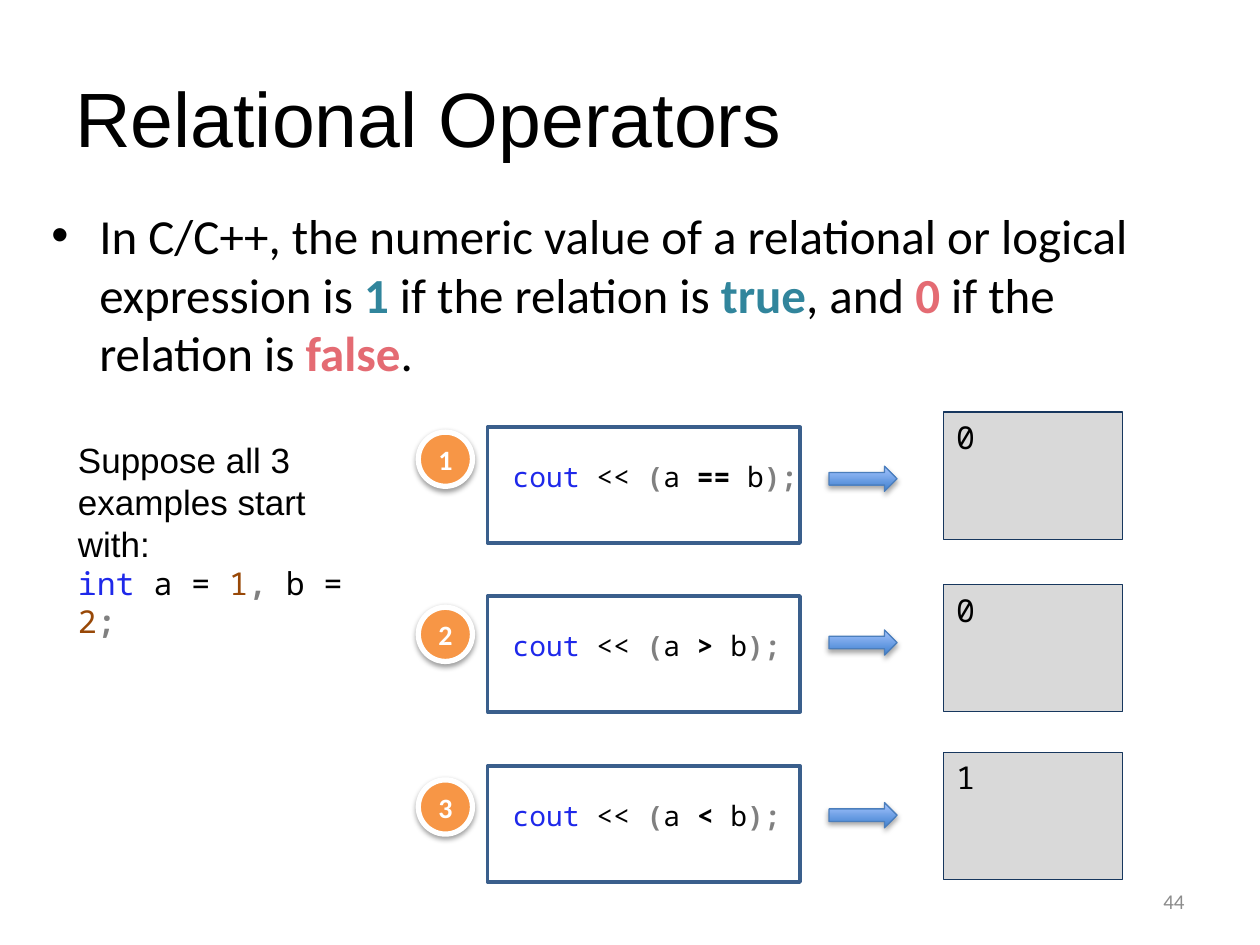
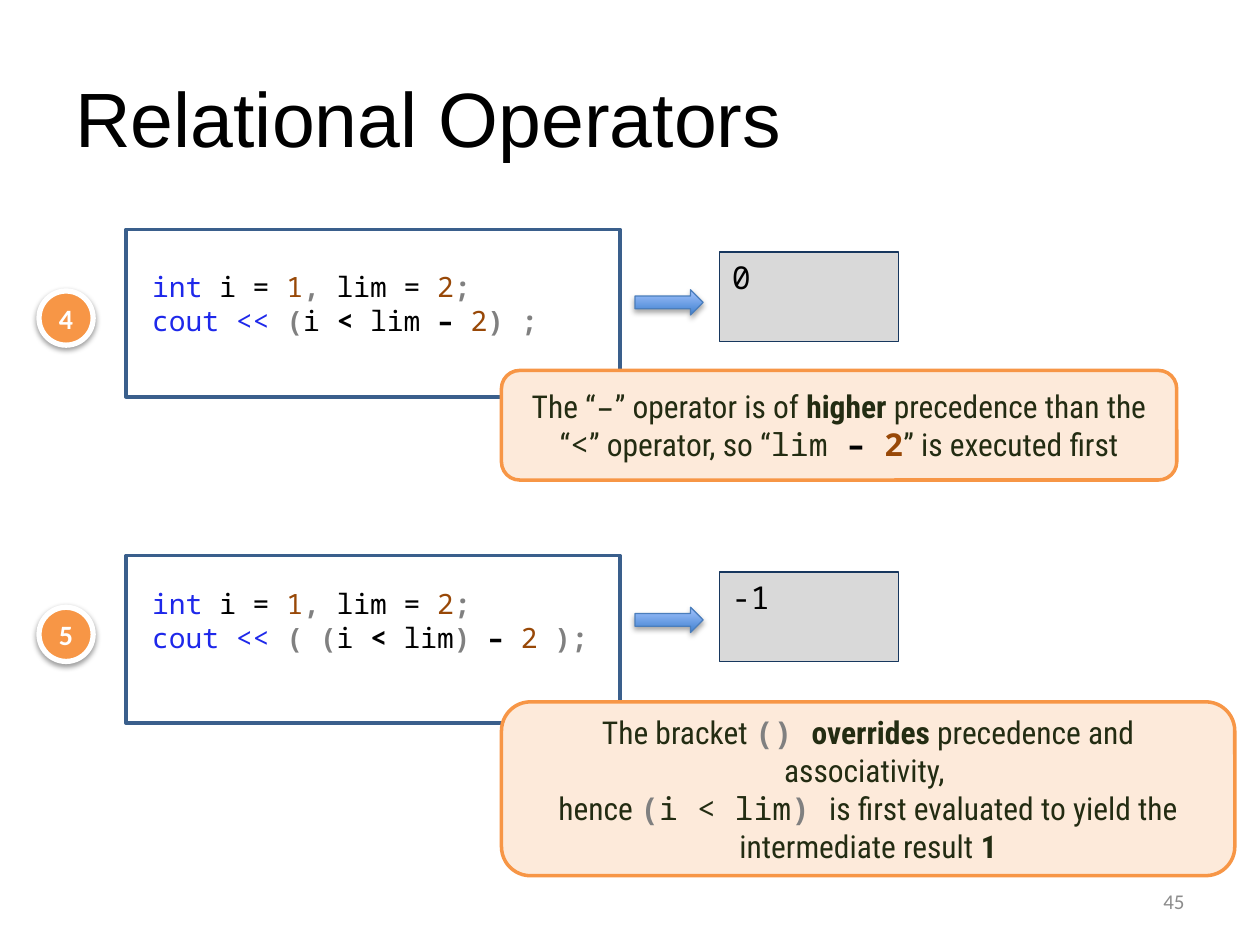
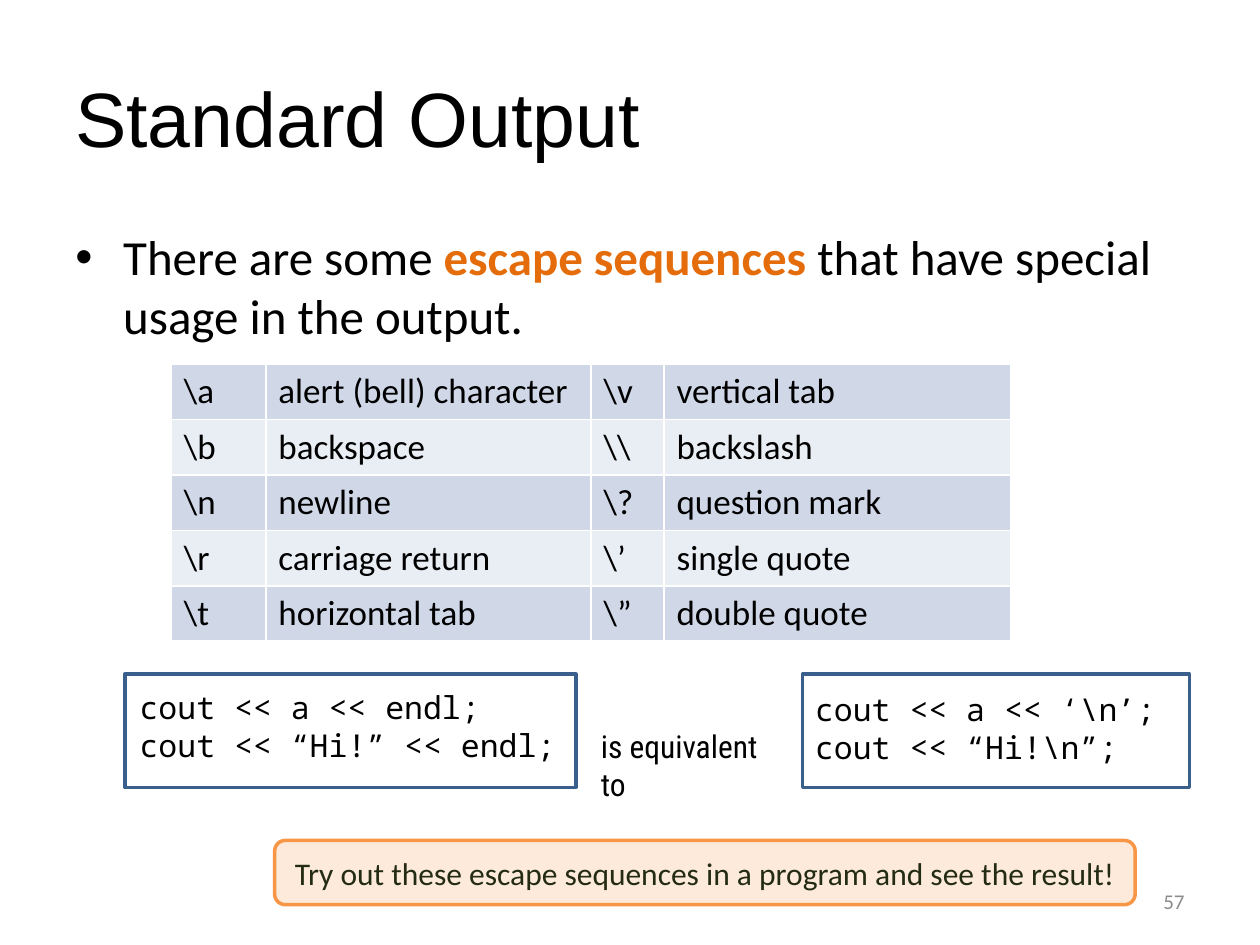
from lxml.etree import SubElement
from pptx import Presentation
from pptx.dml.color import RGBColor
from pptx.enum.shapes import MSO_SHAPE
from pptx.enum.text import MSO_ANCHOR, PP_ALIGN
from pptx.oxml.ns import qn
from pptx.util import Inches, Pt

COLORS = {
    "black": "000000", "white": "FFFFFF", "page number": "8C8C8C",
    "keyword": "1E28EA", "number": "984807", "bracket": "808080",
    "true": "31859C", "false": "E46B73", "highlight": "E46C0A",
    "frame": "3A5F8C", "output": "D9D9D9", "output line": "17375E",
    "badge": "F79646", "callout": "FDEADA", "callout text": "232C12",
    "arrow dark": "3F80CE", "arrow light": "A4C4FF", "arrow line": "4B7EBC",
    "odd row": "D0D8E8", "even row": "E9EDF4",
}
SANS, HEADING, MONO, NARROW = "Calibri", "Arial", "Noto Sans Mono", "Roboto Condensed"

# style name: font, colour, bold
STYLES = {
    "title": (HEADING, "black", False),
    "body": (SANS, "black", False),
    "true": (SANS, "true", True),
    "false": (SANS, "false", True),
    "highlight": (SANS, "highlight", True),
    "page number": (SANS, "page number", False),
    "badge": (SANS, "white", True),
    "code": (MONO, "black", False),
    "keyword": (MONO, "keyword", False),
    "number": (MONO, "number", False),
    "bold number": (MONO, "number", True),
    "bracket": (MONO, "bracket", True),
    "operator": (MONO, "black", True),
    "label": (NARROW, "black", False),
    "note": (NARROW, "callout text", False),
    "strong note": (NARROW, "callout text", True),
    "note code": (MONO, "callout text", False),
    "plain note": (SANS, "callout text", False),
}
CENTERED = {"anchor": MSO_ANCHOR.MIDDLE, "align": PP_ALIGN.CENTER}


def rgb(name):
    return RGBColor.from_string(COLORS[name])


class Deck:
    def __init__(self):
        self.presentation = Presentation()
        self.presentation.slide_width = Inches(10)
        self.presentation.slide_height = Inches(7.5)
        self.slide = None

    def new_slide(self, title, number):
        self.slide = self.presentation.slides.add_slide(self.presentation.slide_layouts[6])
        self.text((0.5, 0.3, 9, 1.25), [[(title, "title")]], 44, anchor=MSO_ANCHOR.MIDDLE)
        self.text((7.17, 6.95, 2.33, 0.4), [[(str(number), "page number")]], 12,
                  anchor=MSO_ANCHOR.MIDDLE, align=PP_ALIGN.RIGHT)

    def write_runs(self, paragraph, runs, size):
        """Add (text, style) runs; a newline in a text becomes a line break."""
        for text, style in runs:
            font_name, color, bold = STYLES[style]
            for index, part in enumerate(text.split("\n")):
                if index:
                    paragraph.add_line_break()
                run = paragraph.add_run()
                run.text = part
                for key, value in {"name": font_name, "size": Pt(size), "bold": bold}.items():
                    setattr(run.font, key, value)
                run.font.color.rgb = rgb(color)

    def fill_text(self, shape, lines, size, anchor=MSO_ANCHOR.TOP, align=PP_ALIGN.LEFT):
        frame = shape.text_frame
        frame.word_wrap = True
        frame.vertical_anchor = anchor
        for index, runs in enumerate(lines):
            paragraph = frame.add_paragraph() if index else frame.paragraphs[0]
            paragraph.alignment = align
            self.write_runs(paragraph, runs, size)

    def text(self, box, lines, size, **layout):
        shape = self.slide.shapes.add_textbox(*map(Inches, box))
        self.fill_text(shape, lines, size, **layout)
        return shape

    def bullet(self, box, runs):
        paragraph = self.text(box, [runs], 28).text_frame.paragraphs[0]
        paragraph.space_before = Pt(5.6)
        properties = paragraph._p.get_or_add_pPr()
        properties.set("marL", str(Inches(0.38)))
        properties.set("indent", str(-Inches(0.38)))
        SubElement(properties, qn("a:buFont"), typeface=HEADING)
        SubElement(properties, qn("a:buChar"), char="•")

    def shape(self, kind, box, line, width, fill=None):
        shape = self.slide.shapes.add_shape(kind, *map(Inches, box))
        shape.shadow.inherit = False
        shape.line.color.rgb = rgb(line)
        shape.line.width = Pt(width)
        if fill:
            shape.fill.solid()
            shape.fill.fore_color.rgb = rgb(fill)
        else:
            shape.fill.background()
        return shape

    def drop_shadow(self, shape, opacity, distance):
        effects = shape._element.spPr.find(qn("a:effectLst"))
        shadow = SubElement(effects, qn("a:outerShdw"), blurRad=str(Pt(3.1)),
                            dist=str(Pt(distance)), dir="5400000", rotWithShape="0")
        color = SubElement(shadow, qn("a:srgbClr"), val=COLORS["black"])
        SubElement(color, qn("a:alpha"), val=str(opacity * 1000))

    def frame(self, box):
        self.shape(MSO_SHAPE.RECTANGLE, box, "frame", 2)

    def output(self, box, value):
        shape = self.shape(MSO_SHAPE.RECTANGLE, box, "output line", 0.75, "output")
        self.fill_text(shape, [[(value, "code")]], 18)

    def badge(self, left, top, number):
        shape = self.shape(MSO_SHAPE.OVAL, (left, top, 0.43, 0.43), "white", 3, "badge")
        self.drop_shadow(shape, 38, 1.6)
        for side in ("left", "right", "top", "bottom"):
            setattr(shape.text_frame, f"margin_{side}", 0)
        self.fill_text(shape, [[(str(number), "badge")]], 16, **CENTERED)

    def arrow(self, left, top):
        shape = self.shape(MSO_SHAPE.RIGHT_ARROW, (left, top, 0.54, 0.2), "arrow line", 0.75)
        shape.fill.gradient()
        shape.fill.gradient_angle = 90
        for stop, color in zip(shape.fill.gradient_stops, ("arrow dark", "arrow light")):
            stop.color.rgb = rgb(color)
        self.drop_shadow(shape, 35, 1.8)

    def callout(self, box, runs):
        shape = self.shape(MSO_SHAPE.ROUNDED_RECTANGLE, box, "badge", 2, "callout")
        self.fill_text(shape, [runs], 18, **CENTERED)

    def table(self, left, top, widths, row_height, rows):
        table = self.slide.shapes.add_table(
            len(rows), len(widths), Inches(left), Inches(top),
            Inches(sum(widths)), Inches(row_height * len(rows))).table
        table.first_row = False
        table.horz_banding = False
        for column, width in zip(table.columns, widths):
            column.width = Inches(width)
        for row_index, row in enumerate(rows):
            for column_index, text in enumerate(row):
                cell = table.cell(row_index, column_index)
                cell.fill.solid()
                cell.fill.fore_color.rgb = rgb("even row" if row_index % 2 else "odd row")
                self.write_runs(cell.text_frame.paragraphs[0], [(text, "body")], 20)


def add_comparisons(deck):
    deck.new_slide("Relational Operators", 44)
    deck.bullet((0.31, 1.58, 9.39, 5.37), [
        ("In C/C++, the numeric value of a relational or logical expression is ", "body"),
        ("1", "true"), (" if the relation is ", "body"), ("true", "true"),
        (", and ", "body"), ("0", "false"), (" if the relation is ", "body"),
        ("false", "false"), (".", "body")])
    setup = deck.text((0.52, 3.43, 2.72, 1.75),
                      [[("Suppose all 3 examples start \nwith:", "title")]], 20)
    deck.write_runs(setup.text_frame.add_paragraph(), [
        ("int", "keyword"), (" a = ", "code"), ("1", "number"), (",", "bracket"),
        (" b = ", "code"), ("2", "number"), (";", "bracket")], 18)

    examples = [  # operator, result, tops of frame, output, arrow and badge
        ("==", "0", 3.39, 3.27, 3.7, 3.43),
        (">", "0", 4.73, 4.64, 5, 4.82),
        ("<", "1", 6.08, 5.97, 6.37, 6.19),
    ]
    for number, example in enumerate(examples, 1):
        operator, result, frame_top, output_top, arrow_top, badge_top = example
        deck.frame((3.87, frame_top, 2.48, 0.92))
        deck.text((3.97, frame_top + 0.21, 3.4, 0.64), [[
            ("cout ", "keyword"), ("<< ", "code"), ("(", "bracket"), ("a ", "code"),
            (operator, "operator"), (" b", "code"), (");", "bracket")]], 16)
        deck.output((7.49, output_top, 1.42, 1.01), result)
        deck.arrow(6.58, arrow_top)
        deck.badge(3.32, badge_top, number)


def add_precedence(deck):
    deck.new_slide("Relational Operators", 45)
    declaration = [("int ", "keyword"), ("i = ", "code"), ("1", "number"), (", ", "bracket"),
                   ("lim = ", "code"), ("2", "number"), (";", "bracket")]
    without_brackets = [
        ("cout << ", "keyword"), ("(", "bracket"), ("i ", "code"), ("< ", "operator"),
        ("lim ", "code"), ("– ", "operator"), ("2", "number"), (") ;", "bracket")]
    with_brackets = [
        ("cout << ", "keyword"), ("( (", "bracket"), ("i ", "code"), ("< ", "operator"),
        ("lim", "code"), (") ", "bracket"), ("– ", "operator"), ("2 ", "number"),
        (");", "bracket")]
    examples = [  # statement, result, tops of frame, code, output, arrow and badge
        (without_brackets, "0", 1.82, 2.09, 2, 2.3, 2.31),
        (with_brackets, "-1", 4.41, 4.61, 4.54, 4.82, 4.82),
    ]
    for number, example in enumerate(examples, 4):
        statement, result, frame_top, code_top, output_top, arrow_top, badge_top = example
        deck.frame((1, frame_top, 3.92, 1.33))
        deck.text((1.11, code_top, 3.81, 0.64), [declaration, statement], 16)
        deck.output((5.71, output_top, 1.42, 0.71), result)
        deck.arrow(5.04, arrow_top)
        deck.badge(0.31, badge_top, number)

    deck.callout((3.98, 2.94, 5.36, 0.87), [
        ("The “", "note"), ("–", "note code"), ("” operator is of ", "note"),
        ("higher", "strong note"), (" precedence than the “", "note"), ("<", "note code"),
        ("” operator, so “", "note"), ("lim ", "note code"), ("– ", "operator"),
        ("2", "bold number"), ("” is executed first", "note")])
    deck.callout((3.98, 5.57, 5.82, 1.38), [
        ("The bracket ", "note"), ("() ", "bracket"), ("overrides", "strong note"),
        (" precedence and associativity, \nhence ", "note"), ("(", "bracket"),
        ("i < lim", "note code"), (") ", "bracket"),
        ("is first evaluated to yield the intermediate result ", "note"),
        ("1", "strong note")])


def add_escape_sequences(deck):
    deck.new_slide("Standard Output", 57)
    deck.bullet((0.5, 1.75, 9, 4.95), [
        ("There are some ", "body"), ("escape sequences ", "highlight"),
        ("that have special usage in the output.", "body")])
    deck.table(1.36, 2.89, (0.75, 2.58, 0.58, 2.75), 0.44, [
        (r"\a", "alert (bell) character", r"\v", "vertical tab"),
        (r"\b", "backspace", r"\\", "backslash"),
        (r"\n", "newline", r"\?", "question mark"),
        (r"\r", "carriage return", r"\’", "single quote"),
        (r"\t", "horizontal tab", r"\”", "double quote"),
    ])
    snippets = [
        ((0.99, 5.35, 3.58, 0.9), (1.01, 5.41, 3.8, 0.71),
         ("cout << a << endl;", "cout << “Hi!” << endl;")),
        ((6.37, 5.35, 3.07, 0.9), (6.37, 5.43, 2.92, 0.71),
         (r"cout << a << ‘\n’;", r"cout << “Hi!\n”;")),
    ]
    for frame_box, code_box, lines in snippets:
        deck.frame(frame_box)
        deck.text(code_box, [[(line, "code")] for line in lines], 18)
    deck.text((4.67, 5.72, 1.55, 0.4), [[("is equivalent to", "label")]], 18)
    deck.callout((2.18, 6.67, 6.83, 0.51), [
        ("Try out these escape sequences in a program and see the result!", "plain note")])


def main():
    deck = Deck()
    add_comparisons(deck)
    add_precedence(deck)
    add_escape_sequences(deck)
    deck.presentation.save("out.pptx")


if __name__ == "__main__":
    main()
